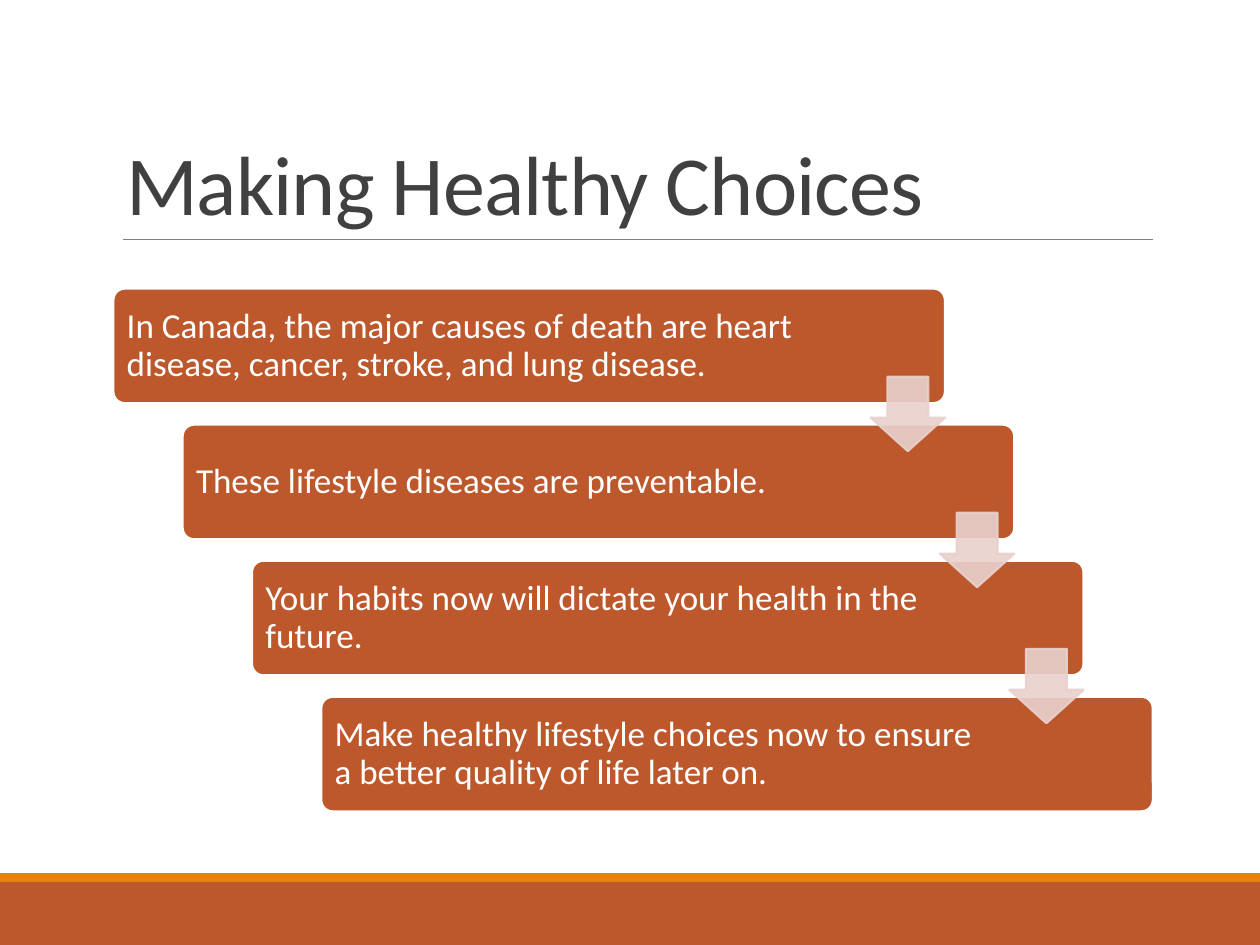
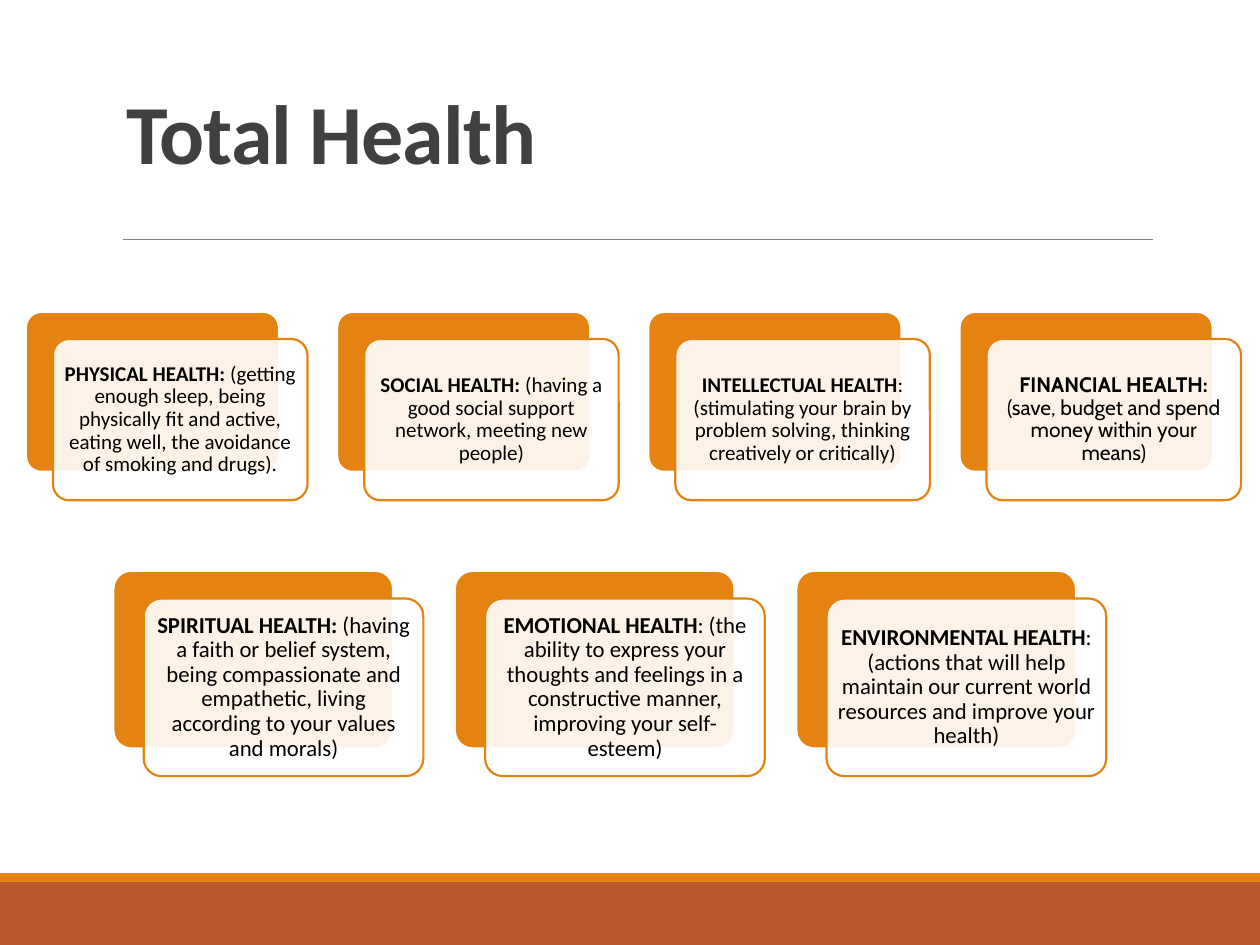
from dataclasses import dataclass

from lxml.etree import SubElement
from pptx import Presentation
from pptx.dml.color import RGBColor
from pptx.enum.shapes import MSO_CONNECTOR, MSO_SHAPE
from pptx.enum.text import MSO_ANCHOR, MSO_AUTO_SIZE, PP_ALIGN
from pptx.oxml.ns import qn
from pptx.util import Inches, Pt

RUST = "BD582C"
ORANGE = "E48312"
BLUSH = "E8D1CD"
WHITE = "FFFFFF"
BLACK = "000000"
TITLE_GRAY = "404040"
RULE_GRAY = "808080"
FONT = "Calibri"


@dataclass(frozen=True)
class Band:
    top: float
    height: float
    color: str


@dataclass(frozen=True)
class Step:
    text: str
    right_inset: float = 1.22


@dataclass(frozen=True)
class Card:
    heading: str
    detail: str
    font: str = FONT


@dataclass(frozen=True)
class CardRow:
    left: float
    top: float
    pitch: float
    width: float
    height: float
    offset: float
    size: float
    back_line: float
    cards: tuple[Card, ...]


BANDS = (Band(7, 0.5, RUST), Band(6.93, 0.07, ORANGE))

STEPS = (
    Step("In Canada, the major causes of death are heart disease, cancer, stroke, and lung disease.", 1.08),
    Step("These lifestyle diseases are preventable."),
    Step("Your habits now will dictate your health in the future."),
    Step("Make healthy lifestyle choices now to ensure a better quality of life later on."),
)

CARD_ROWS = (
    CardRow(0.2, 2.47, 2.47, 2.02, 1.28, 0.22, 12, 2, (
        Card("PHYSICAL HEALTH: ",
             "(getting enough sleep, being physically fit and active, eating well, "
             "the avoidance of smoking and drugs)."),
        Card("SOCIAL HEALTH: ",
             "(having a good social support network, meeting new people)"),
        Card("INTELLECTUAL HEALTH",
             ": (stimulating your brain by problem solving, thinking creatively or critically)"),
        Card("FINANCIAL HEALTH:",
             " (save, budget and spend money within your means)", "Cabin"),
    )),
    CardRow(0.9, 4.53, 2.71, 2.22, 1.41, 0.24, 13, 1.25, (
        Card("SPIRITUAL HEALTH: ",
             "(having a faith or belief system, being compassionate and empathetic, "
             "living according to your values and morals)"),
        Card("EMOTIONAL HEALTH",
             ": (the ability to express your thoughts and feelings in a constructive manner, "
             "improving your self-esteem)"),
        Card("ENVIRONMENTAL HEALTH",
             ": (actions that will help maintain our current world resources "
             "and improve your health)"),
    )),
)


def set_color(color_format, color: str, alpha: int = 100) -> None:
    color_format.rgb = RGBColor.from_string(color)
    if alpha < 100:
        element = color_format._color._xClr
        SubElement(element, qn("a:alpha")).set("val", str(alpha * 1000))


def add_box(slide, preset, left: float, top: float, width: float, height: float, *,
            fill: str, line: str | None = None, line_width: float = 1.25,
            alpha: int = 100, line_alpha: int = 100, adjustments: tuple[float, ...] = ()):
    shape = slide.shapes.add_shape(preset, Inches(left), Inches(top), Inches(width), Inches(height))
    shape.shadow.inherit = False
    shape.fill.solid()
    set_color(shape.fill.fore_color, fill, alpha)
    if line:
        shape.line.fill.solid()
        set_color(shape.line.fill.fore_color, line, line_alpha)
        shape.line.width = Pt(line_width)
    else:
        shape.line.fill.background()
    for index, value in enumerate(adjustments):
        shape.adjustments[index] = value
    return shape


def write_text(shape, *texts: str, size: float, color: str, bold_first: bool = False,
               font: str = FONT, align=PP_ALIGN.LEFT, anchor=MSO_ANCHOR.MIDDLE,
               line_spacing: float = 0.9, tracking: float = 0,
               inset: float | None = None, right_inset: float | None = None) -> None:
    frame = shape.text_frame
    frame.word_wrap = True
    frame.auto_size = MSO_AUTO_SIZE.NONE
    frame.vertical_anchor = anchor
    if inset is not None:
        frame.margin_left = frame.margin_top = frame.margin_bottom = Inches(inset)
        frame.margin_right = Inches(inset if right_inset is None else right_inset)
    paragraph = frame.paragraphs[0]
    paragraph.alignment = align
    paragraph.line_spacing = line_spacing
    for index, text in enumerate(texts):
        run = paragraph.add_run()
        run.text = text
        run.font.name = font
        run.font.size = Pt(size)
        run.font.bold = bold_first and index == 0
        set_color(run.font.color, color)
        if tracking:
            run._r.get_or_add_rPr().set("spc", str(round(tracking * 100)))


def add_titled_slide(presentation, title: str, *, bold: bool = False, anchor=MSO_ANCHOR.BOTTOM):
    slide = presentation.slides.add_slide(presentation.slide_layouts[5])
    for band in BANDS:
        add_box(slide, MSO_SHAPE.RECTANGLE, 0, band.top, 10, band.height, fill=band.color)
    rule = slide.shapes.add_connector(
        MSO_CONNECTOR.STRAIGHT, Inches(0.98), Inches(1.9), Inches(9.15), Inches(1.9))
    set_color(rule.line.color, RULE_GRAY)
    rule.line.width = Pt(0.5)
    SubElement(rule._element.spPr, qn("a:effectLst"))
    placeholder = slide.shapes.title
    placeholder.left, placeholder.top = Inches(0.9), Inches(0.31)
    placeholder.width, placeholder.height = Inches(8.25), Inches(1.59)
    write_text(placeholder, title, size=48, color=TITLE_GRAY, bold_first=bold,
               anchor=anchor, line_spacing=0.85, tracking=-0.5)
    return slide


def add_staircase(slide, steps: tuple[Step, ...]) -> None:
    width, height, arrow_size = 6.6, 0.91, 0.59
    corners = [(0.9 + 0.55 * index, 2.29 + 1.08 * index) for index in range(len(steps))]
    for step, (left, top) in zip(steps, corners):
        box = add_box(slide, MSO_SHAPE.ROUNDED_RECTANGLE, left, top, width, height,
                      fill=RUST, line=WHITE, adjustments=(0.1,))
        write_text(box, step.text, size=20, color=WHITE, inset=0.08, right_inset=step.right_inset)
    for left, top in corners[:-1]:
        add_box(slide, MSO_SHAPE.DOWN_ARROW, left + width - arrow_size, top + 0.7,
                arrow_size, arrow_size, fill=BLUSH, line=BLUSH,
                alpha=90, line_alpha=90, adjustments=(0.55, 0.45))


def add_card_row(slide, row: CardRow) -> None:
    for index, card in enumerate(row.cards):
        left = row.left + row.pitch * index
        add_box(slide, MSO_SHAPE.ROUNDED_RECTANGLE, left, row.top, row.width, row.height,
                fill=ORANGE, line=WHITE, line_width=row.back_line, adjustments=(0.1,))
        front = add_box(slide, MSO_SHAPE.ROUNDED_RECTANGLE, left + row.offset, row.top + 0.22,
                        row.width, row.height, fill=WHITE, line=ORANGE, alpha=90,
                        adjustments=(0.1,))
        write_text(front, card.heading, card.detail, size=row.size, color=BLACK,
                   bold_first=True, font=card.font, align=PP_ALIGN.CENTER, inset=0.05)


def main() -> None:
    presentation = Presentation()
    presentation.slide_width, presentation.slide_height = Inches(10), Inches(7.5)
    add_staircase(add_titled_slide(presentation, "Making Healthy Choices"), STEPS)
    total_health = add_titled_slide(presentation, "Total Health", bold=True, anchor=MSO_ANCHOR.MIDDLE)
    for row in CARD_ROWS:
        add_card_row(total_health, row)
    presentation.save("out.pptx")


if __name__ == "__main__":
    main()
